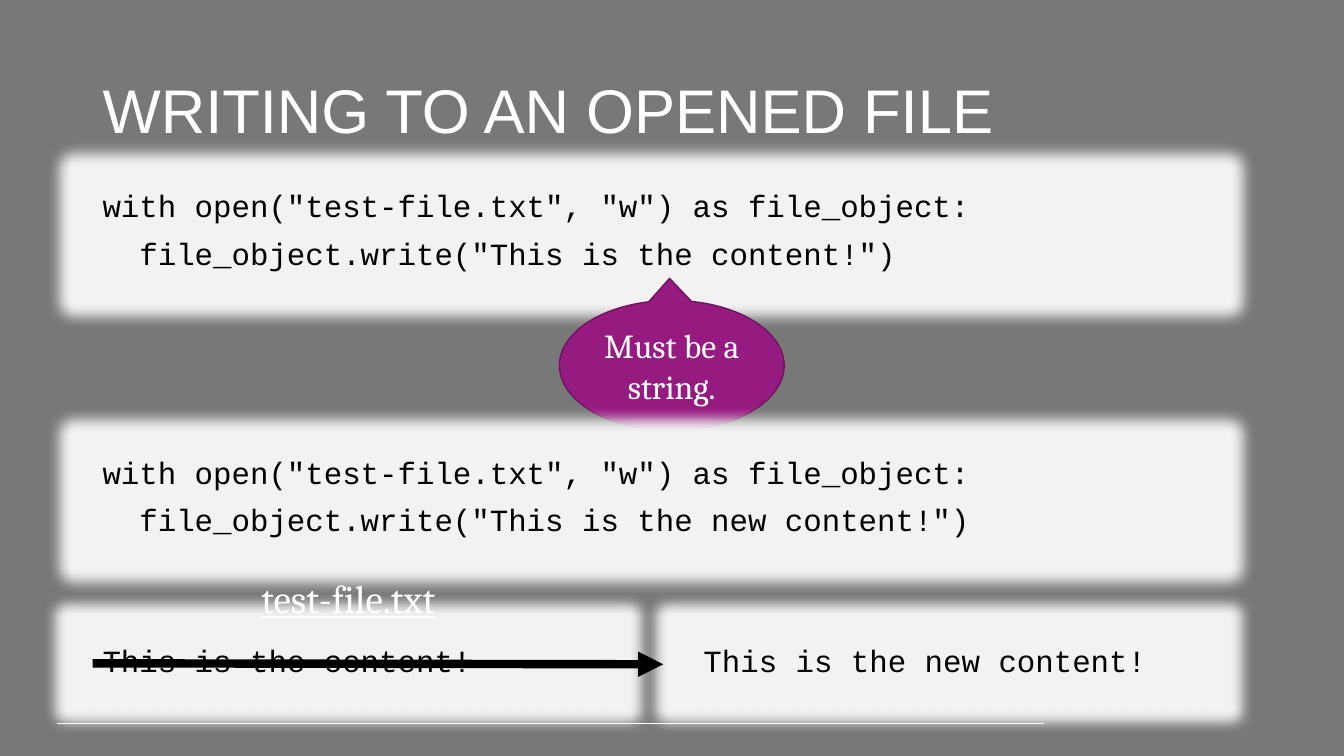
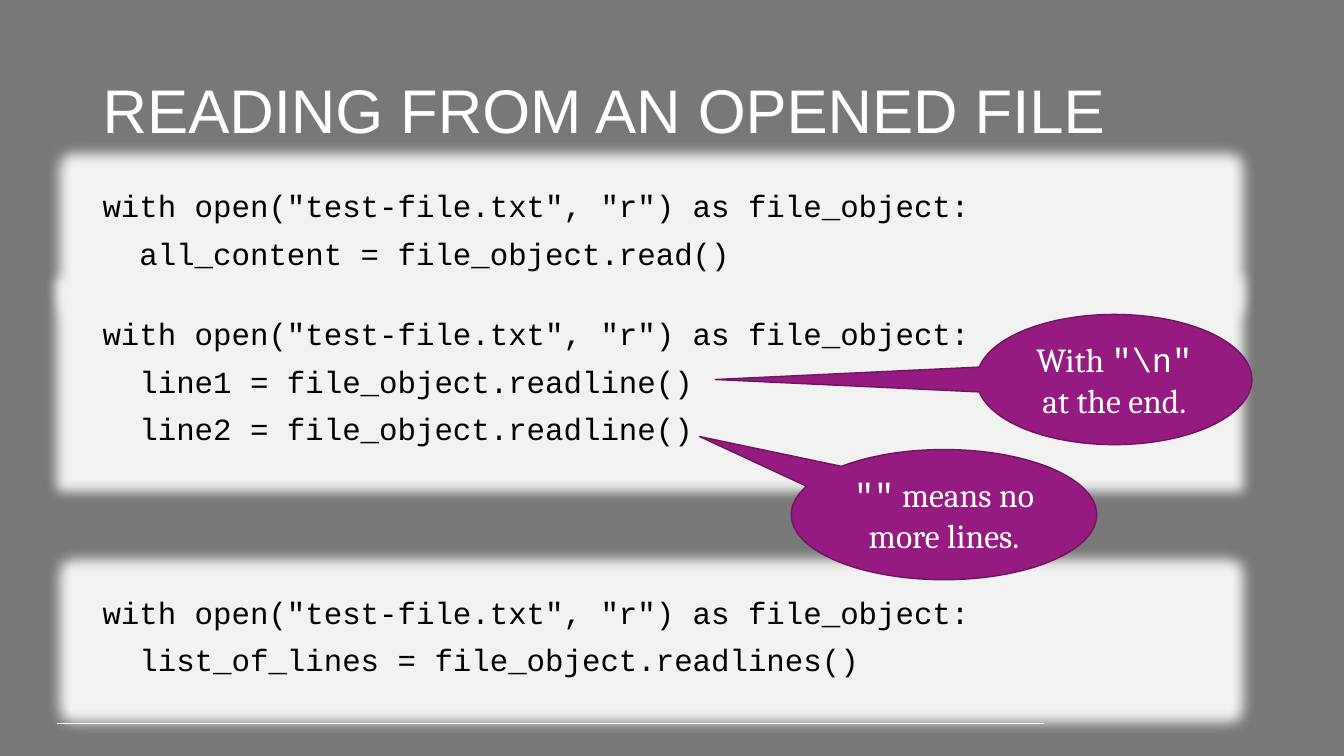
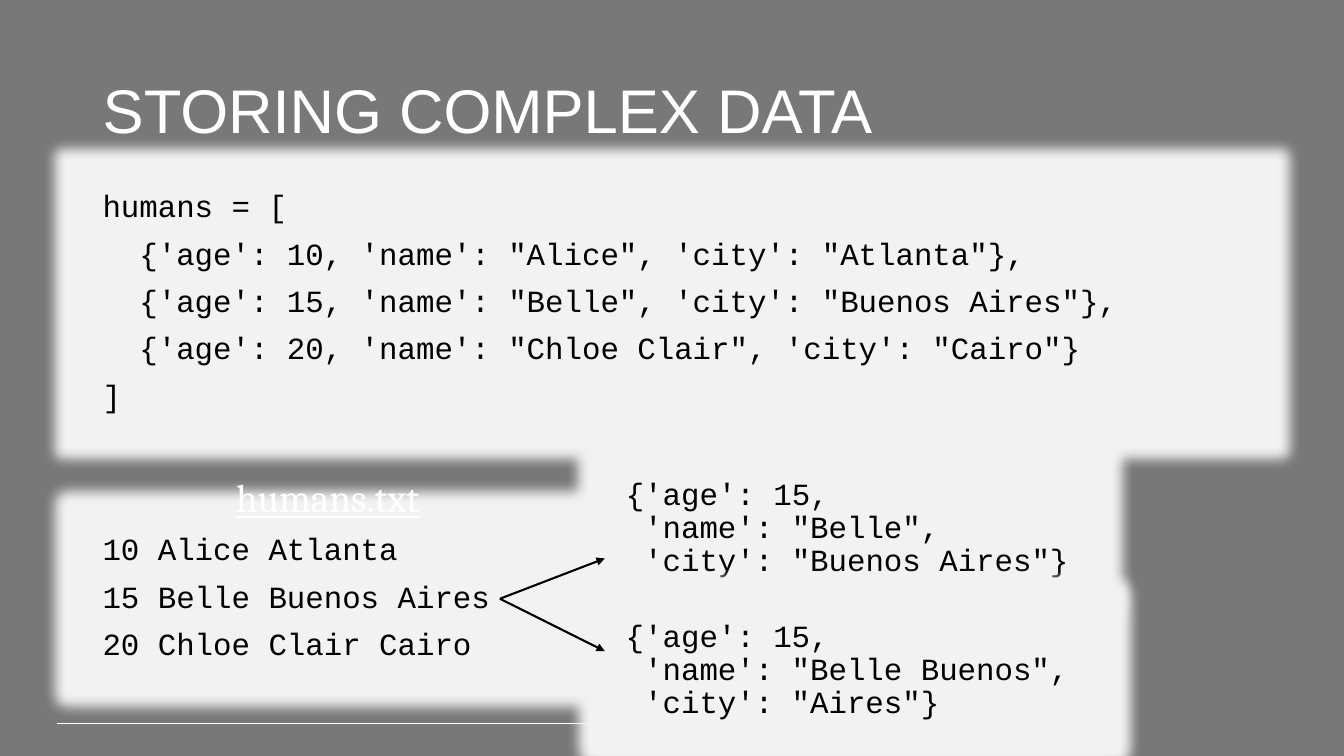
from lxml.etree import SubElement
from pptx import Presentation
from pptx.dml.color import RGBColor
from pptx.enum.shapes import MSO_CONNECTOR, MSO_SHAPE
from pptx.enum.text import MSO_ANCHOR as Anchor, PP_ALIGN as Align
from pptx.oxml.ns import qn
from pptx.util import Pt

GRAY = RGBColor(0x78, 0x78, 0x78)
WHITE = RGBColor(0xFF, 0xFF, 0xFF)
BLACK = RGBColor(0x00, 0x00, 0x00)
PANEL = RGBColor(0xF2, 0xF2, 0xF2)
PURPLE = RGBColor(0x96, 0x1B, 0x81)
DARK_PURPLE = RGBColor(0x6F, 0x14, 0x5F)

HEAD_FONT = "Arial"
BODY_FONT = "Cambria"
CODE_FONT = "Courier New"

LEFT = 66.2
TOP = 133.2
CODE_WIDTH = 794.9
WIDE = 828
FIRST_LINE = 31
NEXT_LINE = 34.2
CALLOUT_HEIGHT = 93
GLOW = 18


def write(shape, paragraphs, font=BODY_FONT, size=24, color=WHITE, align=Align.LEFT,
          anchor=Anchor.TOP, spacing=0.9, gap=0, underline=None):
    frame = shape.text_frame
    frame.word_wrap = True
    frame.vertical_anchor = anchor
    for index, content in enumerate(paragraphs):
        para = frame.add_paragraph() if index else frame.paragraphs[0]
        para.alignment = align
        para.line_spacing = spacing
        para.space_before = Pt(gap if index else 0)
        spans = [(content, font)] if isinstance(content, str) else content
        for text, face in spans:
            for number, line in enumerate(text.split("\n")):
                if number:
                    para.add_line_break()
                span = para.add_run()
                span.text = line
                span.font.name = face
                span.font.size = Pt(size)
                span.font.color.rgb = color
                span.font.underline = underline


def add_line(page, start_x, start_y, end_x, end_y, color, width, arrow=True):
    line = page.shapes.add_connector(
        MSO_CONNECTOR.STRAIGHT, Pt(start_x), Pt(start_y), Pt(end_x), Pt(end_y))
    line.line.color.rgb = color
    line.line.width = Pt(width)
    properties = line._element.spPr
    if arrow:
        SubElement(properties.find(qn("a:ln")), qn("a:tailEnd"), type="triangle")
    SubElement(properties, qn("a:effectLst"))


OPEN_WRITE = 'with open("test-file.txt", "w") as file_object:'
OPEN_READ = 'with open("test-file.txt", "r") as file_object:'

PAGES = [
    ("WRITING TO AN OPENED FILE", [
        ("code", LEFT, 457.9, 365, ["This is the content!"]),
        ("code", LEFT, TOP, CODE_WIDTH,
         [OPEN_WRITE, '  file_object.write("This is the content!")']),
        ("callout", 399.6, 214.6, 160.6, "Must be a string.", (-0.01, -0.67)),
        ("label", 111.6, 410.4, 274.3, "test-file.txt"),
        ("code", LEFT, 323.3, CODE_WIDTH,
         [OPEN_WRITE, '  file_object.write("This is the new content!")']),
        ("code", 495.4, 457.9, 365, ["This is the new content!"]),
        ("arrow", LEFT, 473.8, 473.8, 474.5, 6),
    ]),
    ("READING FROM AN OPENED FILE", [
        ("code", LEFT, TOP, CODE_WIDTH,
         [OPEN_READ, "  all_content = file_object.read()"]),
        ("code", LEFT, 224.6, CODE_WIDTH,
         [OPEN_READ, "  line1 = file_object.readline()", "  line2 = file_object.readline()"]),
        ("code", LEFT, 423.4, CODE_WIDTH,
         [OPEN_READ, "  list_of_lines = file_object.readlines()"]),
        ("callout", 697.7, 224.6, 196.6,
         [("With ", BODY_FONT), ('"\\n"', CODE_FONT), (" at the end.", BODY_FONT)],
         (-1.45, 0)),
        ("callout", 565.2, 321.1, 218.2,
         [('""', CODE_FONT), (" means no more lines.", BODY_FONT)], (-0.8, -0.6)),
    ]),
    ("STORING COMPLEX DATA", [
        ("code", LEFT, 378, 335.5,
         ["10 Alice Atlanta", "15 Belle Buenos Aires", "20 Chloe Clair Cairo"]),
        ("label", LEFT, 338.4, 335.5, "humans.txt"),
        ("code", LEFT, TOP, WIDE, [
            "humans = [",
            "  {'age': 10, 'name': \"Alice\", 'city': \"Atlanta\"},",
            "  {'age': 15, 'name': \"Belle\", 'city': \"Buenos Aires\"},",
            "  {'age': 20, 'name': \"Chloe Clair\", 'city': \"Cairo\"}",
            "]"]),
        ("record", 439.9, 338.4, 334.8,
         ["{'age': 15,\n 'name': \"Belle\",\n 'city': \"Buenos Aires\"}"]),
        ("record", 439.9, 439.9, 341.3,
         ["{'age': 15,\n 'name': \"Belle Buenos\",\n 'city': \"Aires\"}"]),
        ("arrow", 357.1, 427.7, 432, 398.9, 1.5),
        ("arrow", 357.1, 427.7, 432, 465.1, 1.5),
    ]),
]

deck = Presentation()
deck.slide_width = Pt(960)
deck.slide_height = Pt(540)
background = deck.slide_master.background.fill
background.solid()
background.fore_color.rgb = GRAY

for heading, items in PAGES:
    page = deck.slides.add_slide(deck.slide_layouts[5])
    title = page.shapes.title
    title.left, title.top, title.width, title.height = Pt(LEFT), Pt(28.8), Pt(WIDE), Pt(104.4)
    write(title, [heading], font=HEAD_FONT, size=44, anchor=Anchor.MIDDLE)
    add_line(page, 41, 517, 746, 517, WHITE, 0.75, arrow=False)

    for kind, left, top, *details in items:
        if kind == "arrow":
            end_x, end_y, weight = details
            add_line(page, left, top, end_x, end_y, BLACK, weight)
        elif kind == "label":
            width, text = details
            label = page.shapes.add_textbox(Pt(left), Pt(top), Pt(width), Pt(38.2))
            write(label, [text], size=28, align=Align.CENTER, underline=True)
        elif kind == "callout":
            width, text, tip = details
            callout = page.shapes.add_shape(
                MSO_SHAPE.OVAL_CALLOUT, Pt(left), Pt(top), Pt(width), Pt(CALLOUT_HEIGHT))
            callout.shadow.inherit = False
            callout.adjustments[0], callout.adjustments[1] = tip
            callout.fill.solid()
            callout.fill.fore_color.rgb = PURPLE
            callout.line.color.rgb = DARK_PURPLE
            callout.line.width = Pt(1)
            write(callout, [text], align=Align.CENTER, anchor=Anchor.MIDDLE, spacing=1)
        else:
            width, lines = details
            height = 79.2 if kind == "record" else FIRST_LINE + NEXT_LINE * (len(lines) - 1)
            panel = page.shapes.add_shape(
                MSO_SHAPE.RECTANGLE, Pt(left), Pt(top), Pt(width), Pt(height))
            panel.shadow.inherit = False
            panel.fill.solid()
            panel.fill.fore_color.rgb = PANEL
            panel.line.fill.background()
            effects = panel._element.spPr.find(qn("a:effectLst"))
            glow = SubElement(effects, qn("a:glow"), rad=str(Pt(GLOW)))
            SubElement(glow, qn("a:srgbClr"), val=str(PANEL))
            write(panel, lines, font=CODE_FONT, size=22, color=BLACK, gap=10)

deck.save("out.pptx")
